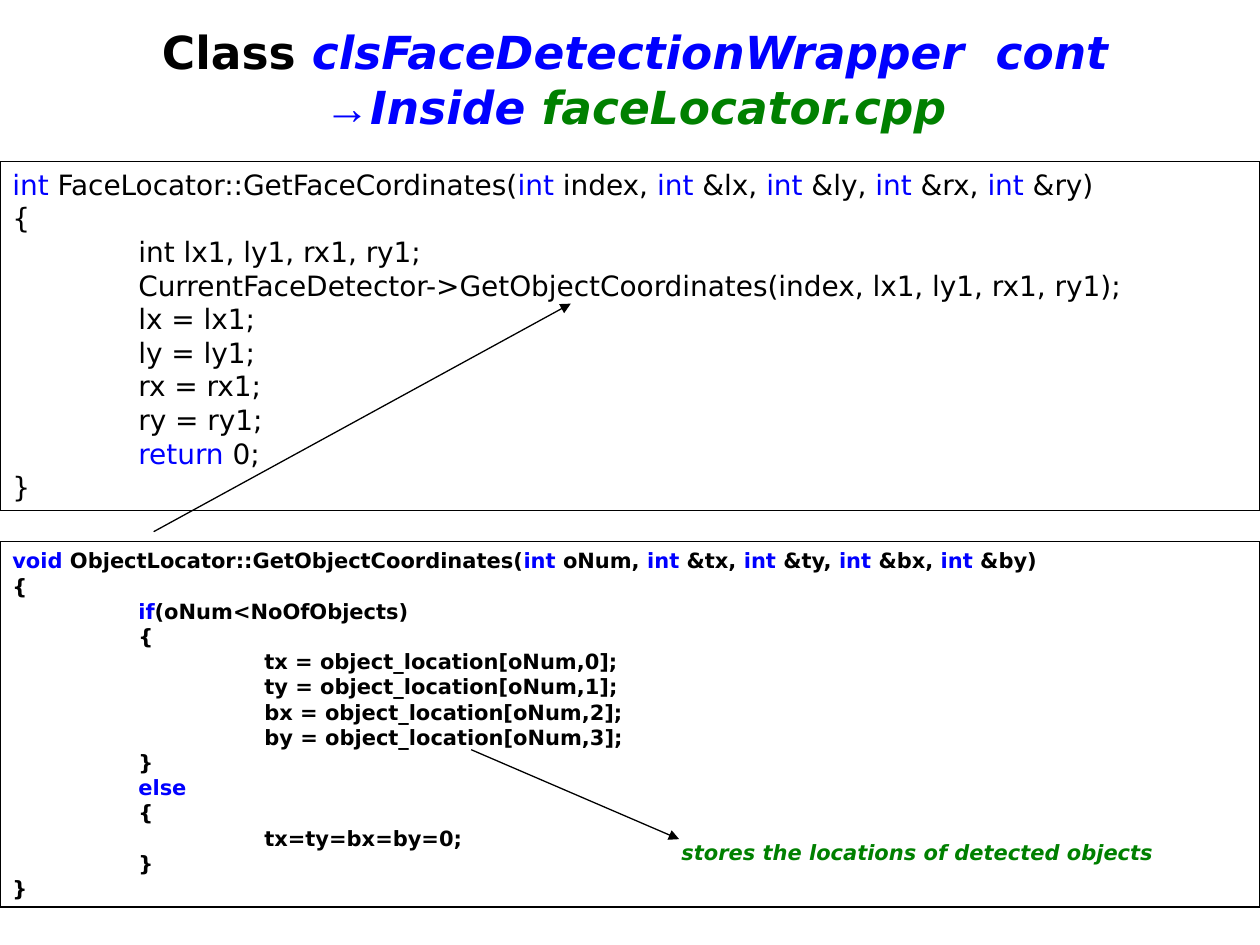
import copy

import lxml.etree
import pptx
import pptx.dml.color
import pptx.enum.shapes
import pptx.enum.text
import pptx.oxml.ns
import pptx.util

Inches, Pt = pptx.util.Inches, pptx.util.Pt
MSO_ANCHOR = pptx.enum.text.MSO_ANCHOR
PP_ALIGN = pptx.enum.text.PP_ALIGN
qn = pptx.oxml.ns.qn

COLORS = {"text": "000000", "keyword": "0000FF", "file": "008000", "paper": "FFFFFF"}
FONT = "DejaVu Sans"

# Title lines: (text, colour, italic, font)
TITLE = [
    [("Class ", "text", False, FONT),
     ("clsFaceDetectionWrapper  cont", "keyword", True, FONT)],
    [("→", "keyword", True, "Arial"),
     ("Inside ", "keyword", True, FONT),
     ("faceLocator.cpp", "file", True, FONT)],
]

# Code listings; keywords stand between backticks
FACE_CODE = [
    "`int` FaceLocator::GetFaceCordinates(`int` index, `int` &lx, `int` &ly, `int` &rx, `int` &ry)",
    "{",
    "\tint lx1, ly1, rx1, ry1;",
    "\tCurrentFaceDetector->GetObjectCoordinates(index, lx1, ly1, rx1, ry1);",
    "\tlx = lx1;",
    "\tly = ly1;",
    "\trx = rx1;",
    "\try = ry1;",
    "\t`return` 0;",
    "}",
]
OBJECT_CODE = [
    "`void` ObjectLocator::GetObjectCoordinates(`int` oNum, `int` &tx, `int` &ty, `int` &bx, `int` &by)",
    "{",
    "\t`if`(oNum<NoOfObjects)",
    "\t{",
    "\t\ttx = object_location[oNum,0];",
    "\t\tty = object_location[oNum,1];",
    "\t\tbx = object_location[oNum,2];",
    "\t\tby = object_location[oNum,3];",
    "\t}",
    "\t`else`",
    "\t{",
    "\t\ttx=ty=bx=by=0;",
    "\t}",
    "}",
]
# (lines, top, height, size, bold)
LISTINGS = [
    (FACE_CODE, 1.28, 2.77, 16, False),
    (OBJECT_CODE, 4.3, 2.9, 12, True),
]
CAPTION = "stores the locations of detected objects"
# (x1, y1, x2, y2)
ARROWS = [(1.22, 4.22, 4.53, 2.41), (3.74, 5.95, 5.39, 6.66)]


def rgb(name):
    return pptx.dml.color.RGBColor.from_string(COLORS[name])


def add_run(p, text, size, color, bold=False, italic=False, font=FONT):
    r = p.add_run()
    r.text = text
    r.font.name, r.font.size = font, Pt(size)
    r.font.bold, r.font.italic = bold, italic
    r.font.color.rgb = rgb(color)
    return r


def add_tabs(p, count=7):
    tabs = lxml.etree.SubElement(p._p.get_or_add_pPr(), qn("a:tabLst"))
    for i in range(1, count + 1):
        lxml.etree.SubElement(tabs, qn("a:tab"), pos=str(Inches(i)), algn="l")


def add_listing(s, lines, top, height, size, bold):
    sp = s.shapes.add_shape(pptx.enum.shapes.MSO_SHAPE.RECTANGLE,
                            0, Inches(top), Inches(10), Inches(height))
    sp.shadow.inherit = False
    sp.fill.solid()
    sp.fill.fore_color.rgb = rgb("paper")
    sp.line.color.rgb = rgb("text")
    sp.line.width = Pt(0.75)
    tf = sp.text_frame
    tf.word_wrap = True
    tf.vertical_anchor = MSO_ANCHOR.TOP
    for i, line in enumerate(lines):
        p = tf.add_paragraph() if i else tf.paragraphs[0]
        p.alignment = PP_ALIGN.LEFT
        add_tabs(p)
        for j, part in enumerate(line.split("`")):
            if part:
                add_run(p, part, size, "keyword" if j % 2 else "text", bold)


def add_arrow(s, x1, y1, x2, y2):
    cx = s.shapes.add_connector(pptx.enum.shapes.MSO_CONNECTOR.STRAIGHT,
                                Inches(x1), Inches(y1), Inches(x2), Inches(y2))
    cx.line.color.rgb = rgb("text")
    cx.line.width = Pt(0.75)
    lxml.etree.SubElement(cx.line._get_or_add_ln(), qn("a:tailEnd"), type="triangle")
    lxml.etree.SubElement(cx._element.spPr, qn("a:effectLst"))


def main():
    prs = pptx.Presentation()
    prs.slide_width, prs.slide_height = Inches(10), Inches(7.5)
    s = prs.slides.add_slide(prs.slide_layouts[5])

    # Title
    title = s.shapes.title
    title.left, title.top = Inches(0.67), Inches(0.6)
    title.width, title.height = Inches(8.75), Inches(0.51)
    tf = title.text_frame
    tf.auto_size = pptx.enum.text.MSO_AUTO_SIZE.NONE
    tf.vertical_anchor = MSO_ANCHOR.BOTTOM
    p = tf.paragraphs[0]
    p.alignment = PP_ALIGN.CENTER
    for i, line in enumerate(TITLE):
        if i:
            p.add_line_break()
            p._p[-1].append(copy.deepcopy(r._r.rPr))  # break keeps the text size
        for text, color, italic, font in line:
            r = add_run(p, text, 26, color, True, italic, font)

    # Code boxes
    for listing in LISTINGS:
        add_listing(s, *listing)

    # Caption
    box = s.shapes.add_textbox(Inches(5.31), Inches(6.51), Inches(4.2), Inches(0.4))
    box.text_frame.word_wrap = True
    box.text_frame.vertical_anchor = MSO_ANCHOR.BOTTOM
    add_run(box.text_frame.paragraphs[0], CAPTION, 12, "file", True, True)

    # Arrows
    for arrow in ARROWS:
        add_arrow(s, *arrow)

    prs.save("out.pptx")


if __name__ == "__main__":
    main()
